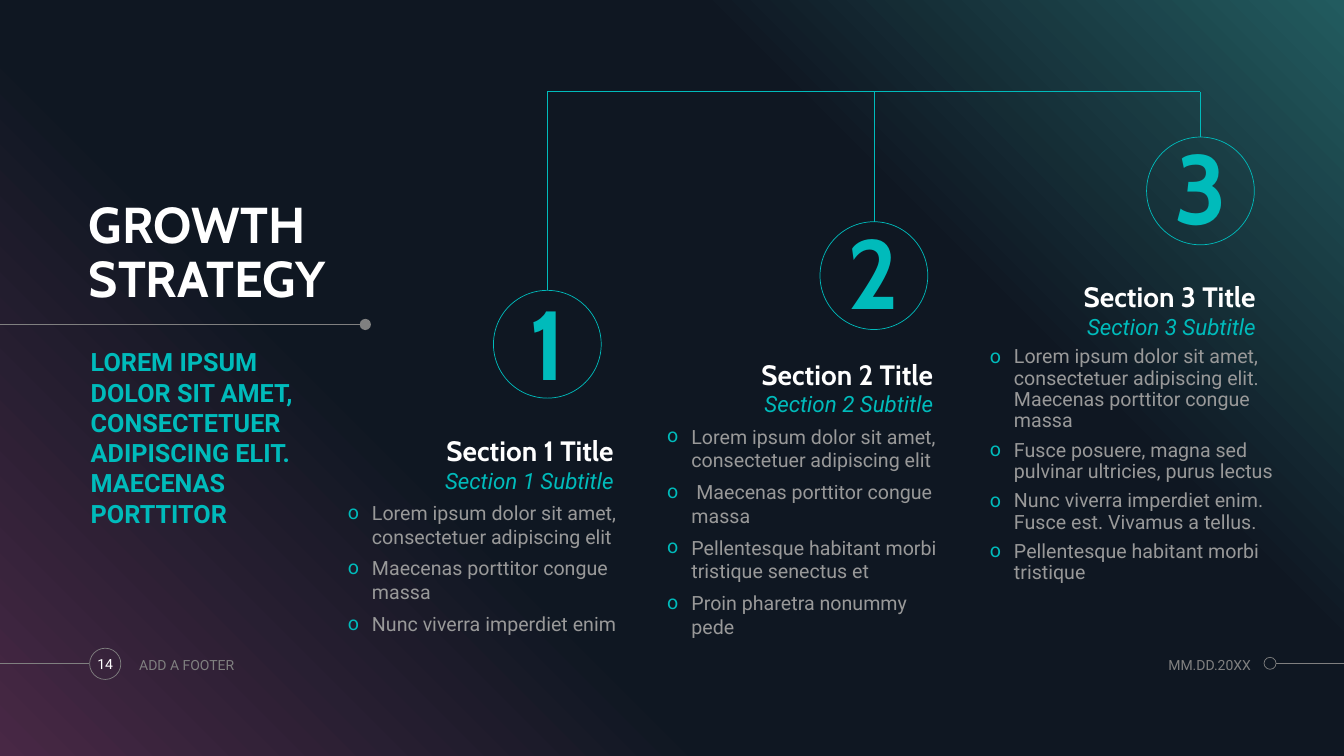
import pptx
import pptx.util
import pptx.dml.color
import pptx.enum.shapes
import pptx.enum.text
import pptx.oxml
import pptx.oxml.ns
import copy

Pt = pptx.util.Pt
qn = pptx.oxml.ns.qn
ALIGN = pptx.enum.text.PP_ALIGN
ANCHOR = pptx.enum.text.MSO_ANCHOR
OVAL = pptx.enum.shapes.MSO_SHAPE.OVAL
SPACE = pptx.oxml.ns.nsdecls("a")

COLORS = {"plum": "482845", "night": "0F1722", "pine": "225B5F",
          "teal": "00BBBB", "white": "FFFFFF", "grey": "808080", "text": "999999"}
STOPS = [(0, "plum"), (34, "night"), (69, "night"), (100, "pine")]

TITLE = "GROWTH\vSTRATEGY"
LEAD = "LOREM IPSUM DOLOR SIT AMET, CONSECTETUER ADIPISCING ELIT. MAECENAS PORTTITOR"
PAGE, FOOTER, DATE = "14", "ADD A FOOTER", "MM.DD.20XX"

# ring: top of the circle; inset: space above its digit; left, top: text column
SECTIONS = [
    {"ring": 207.4, "inset": 5.8, "left": 248.4, "top": 306, "height": 101, "lines": 1,
     "items": ["Lorem ipsum dolor sit amet, consectetuer adipiscing elit",
               "Maecenas porttitor congue massa",
               "Nunc viverra imperdiet enim"]},
    {"ring": 158.4, "inset": 2.9, "left": 476.6, "top": 251.4, "height": 140, "lines": 1,
     "items": ["Lorem ipsum dolor sit amet, consectetuer adipiscing elit",
               " Maecenas porttitor congue massa",
               "Pellentesque habitant morbi tristique senectus et",
               "Proin pharetra nonummy pede"]},
    {"ring": 97.9, "inset": 2.9, "left": 707, "top": 196, "height": 182, "lines": 0.9,
     "items": ["Lorem ipsum dolor sit amet, consectetuer adipiscing elit. "
               "Maecenas porttitor congue massa",
               "Fusce posuere, magna sed pulvinar ultricies, purus lectus",
               "Nunc viverra imperdiet enim. Fusce est. Vivamus a tellus.",
               "Pellentesque habitant morbi tristique"]},
]
RING, FIRST, STEP, BUS = 77, 391, 233.25, 65.6
RULE, BASE = 231.8, 473.8


def rgb(name):
    return pptx.dml.color.RGBColor.from_string(COLORS[name])


def place(shape, left, top, width, height):
    shape.left, shape.top, shape.width, shape.height = map(Pt, (left, top, width, height))


def bullet(par):
    props = par._p.get_or_add_pPr()
    props.set("marL", str(Pt(17.3)))
    props.set("indent", str(-Pt(17.3)))
    for xml in (f'<a:buClr {SPACE}><a:srgbClr val="{COLORS["teal"]}"/></a:buClr>',
                f'<a:buFont {SPACE} typeface="Roboto"/>',
                f'<a:buChar {SPACE} char="o"/>'):
        props.append(pptx.oxml.parse_xml(xml))


def write(shape, lines, size, color, font="Roboto", bold=False, italic=False,
          align=ALIGN.LEFT, anchor=ANCHOR.TOP, pitch=1, inset=0, dots=False):
    frame = shape.text_frame
    frame.text = lines[0]
    for line in lines[1:]:
        frame.add_paragraph().text = line
    frame.word_wrap = True
    frame.auto_size = pptx.enum.text.MSO_AUTO_SIZE.NONE
    frame.vertical_anchor = anchor
    frame.margin_left = frame.margin_right = frame.margin_bottom = 0
    frame.margin_top = Pt(inset)
    for num, par in enumerate(frame.paragraphs):
        if dots:
            bullet(par)
        par.alignment, par.line_spacing = align, pitch
        par.space_before, par.space_after = Pt(6 if num else 0), Pt(0)
        for run in par.runs:
            face = run.font
            face.name, face.size = font, Pt(size)
            face.bold, face.italic = bold, italic
            face.color.rgb = rgb(color)


def label(text, left, top, width, height, size, color, **style):
    box = slide.shapes.add_textbox(*map(Pt, (left, top, width, height)))
    write(box, [text], size, color, **style)


def circle(left, top, size, color, solid=False):
    shape = slide.shapes.add_shape(OVAL, *map(Pt, (left, top, size, size)))
    shape.shadow.inherit = False
    if solid:
        shape.fill.solid()
        shape.fill.fore_color.rgb = rgb(color)
        shape.line.fill.background()
    else:
        shape.fill.background()
        shape.line.color.rgb = rgb(color)
        shape.line.width = Pt(0.5)
    return shape


def line(x1, y1, x2, y2, color):
    wire = slide.shapes.add_connector(
        pptx.enum.shapes.MSO_CONNECTOR.STRAIGHT, *map(Pt, (x1, y1, x2, y2)))
    wire.line.color.rgb = rgb(color)
    wire.line.width = Pt(0.5)
    wire._element.spPr.append(pptx.oxml.parse_xml(f"<a:effectLst {SPACE}/>"))
    return wire


def paint():
    """Fill the background with the diagonal four-stop gradient."""
    fill = slide.background.fill
    fill.gradient()
    fill.gradient_angle = 45
    group = slide.element.find(".//" + qn("a:gsLst"))
    while len(group) < len(STOPS):
        group.append(copy.deepcopy(group[0]))
    for stop, (pos, color) in zip(fill.gradient_stops, STOPS):
        stop.position = pos / 100
        stop.color.rgb = rgb(color)


deck = pptx.Presentation()
deck.slide_width, deck.slide_height = Pt(960), Pt(540)
slide = deck.slides.add_slide(deck.slide_layouts.get_by_name("Comparison"))
paint()

title, lead, *lists = slide.placeholders
place(title, 63.4, 118.8, 222.5, 101.5)
write(title, [TITLE], 36, "white", font="Cabin", bold=True, anchor=ANCHOR.BOTTOM, pitch=0.9)
place(lead, 64.8, 247.7, 174.2, 165)
write(lead, [LEAD], 18, "teal", bold=True)
line(0, RULE, 257.8, RULE, "grey")
circle(257, RULE - 4, 8, "grey", solid=True)

line(FIRST, BUS, FIRST + 2 * STEP, BUS, "teal")
for num, (part, body) in enumerate(zip(SECTIONS, lists)):
    mid = FIRST + num * STEP
    ring = circle(mid - RING / 2, part["ring"], RING, "teal")
    write(ring, [str(num + 1)], 70, "teal", font="Cabin", bold=True, align=ALIGN.CENTER,
          anchor=ANCHOR.MIDDLE, pitch=0.9, inset=part["inset"])
    line(mid, part["ring"], mid, BUS, "teal").begin_connect(ring, 0)
    left, top = part["left"], part["top"]
    head = {"align": ALIGN.RIGHT, "anchor": ANCHOR.BOTTOM, "pitch": 0.9}
    label(f"Section {num + 1} Title", left, top, 190, 28, 20, "white",
          font="Cabin", bold=True, **head)
    label(f"Section {num + 1} Subtitle", left, top + 28.2, 190, 18.7, 16, "teal",
          italic=True, **head)
    place(body, left, top + 51.8, 203.8, part["height"])
    write(body, part["items"], 14, "text", pitch=part["lines"], dots=True)

line(0, BASE, 63.6, BASE, "grey")
badge = circle(64, 463, 22.3, "grey")
write(badge, [PAGE], 10, "white", align=ALIGN.CENTER, anchor=ANCHOR.MIDDLE)
badge.text_frame.word_wrap = False
label(FOOTER, 99.4, 463, 215, 23.8, 10, "grey", anchor=ANCHOR.MIDDLE)
label(DATE, 788.4, 463, 105.1, 23.8, 10, "grey", align=ALIGN.RIGHT, anchor=ANCHOR.MIDDLE)
circle(902.9, BASE - 4.3, 8.6, "grey")
line(911.5, BASE, 960, BASE, "grey")

deck.save("out.pptx")
